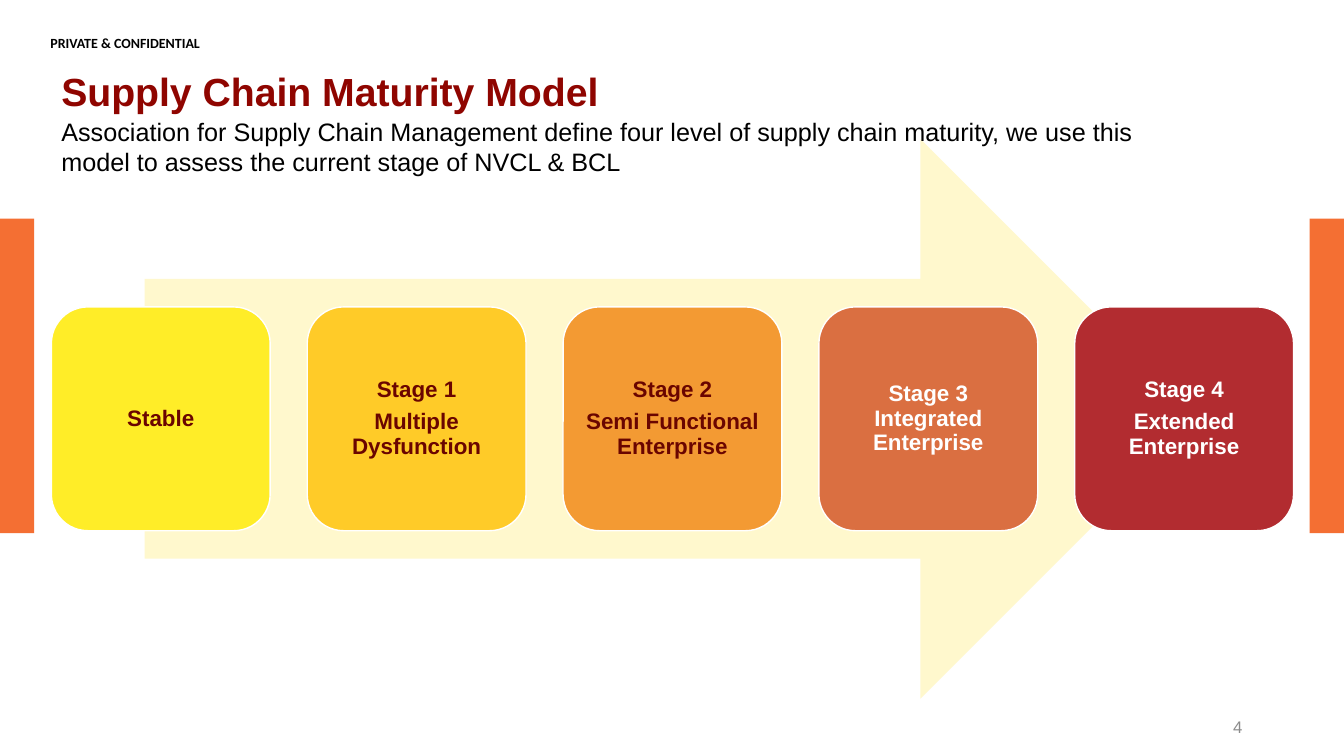
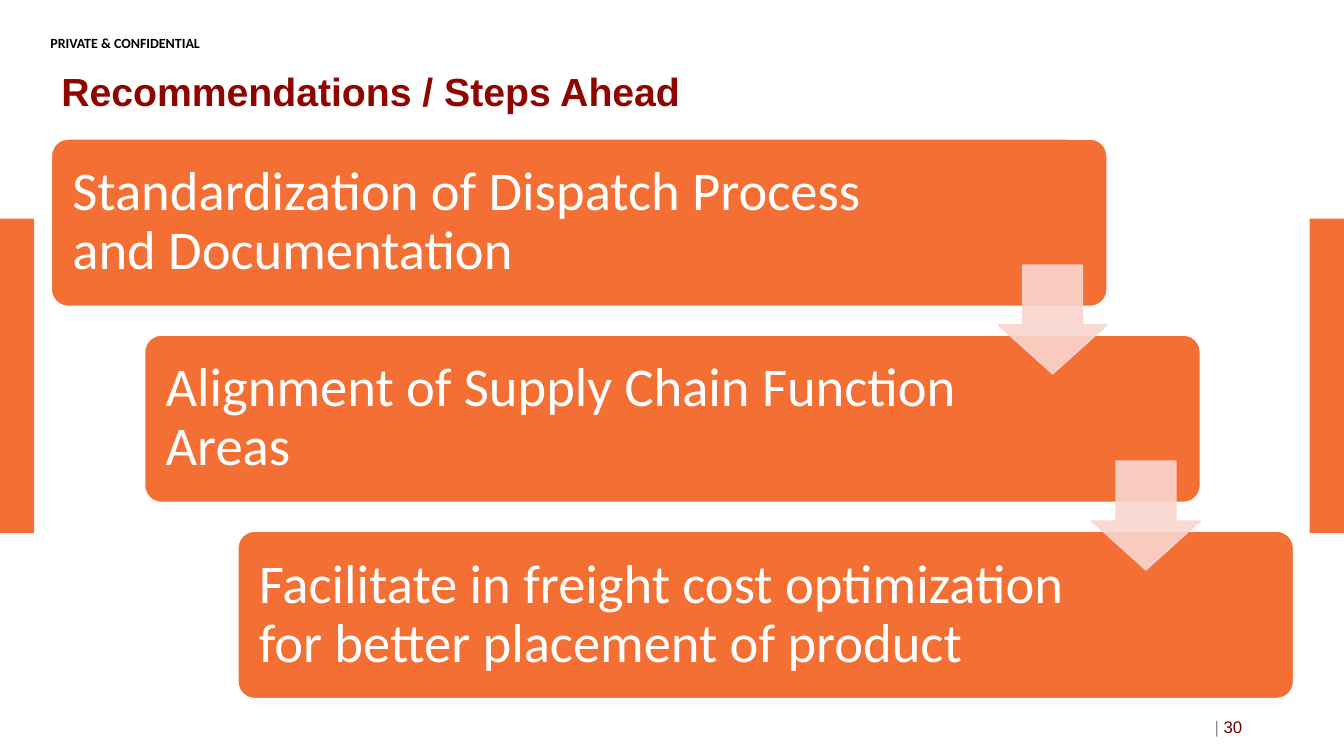
from dataclasses import dataclass

from lxml import etree
from pptx import Presentation
from pptx import util as u
from pptx.dml.color import RGBColor
from pptx.enum import shapes, text
from pptx.oxml.ns import qn

KIND = shapes.MSO_SHAPE
ALIGN = text.PP_ALIGN
ANCHOR = text.MSO_ANCHOR


@dataclass(frozen=True)
class Theme:
    heading_font: str = "Arial"
    body_font: str = "Calibri"
    # Colours
    band: str = "F46F33"
    title: str = "8F0500"
    dark_red: str = "6A0500"
    grey: str = "8C8C8C"
    black: str = "000000"
    white: str = "FFFFFF"
    pale_arrow: str = "FFF8CD"
    step: str = "F36F33"
    step_arrow: str = "FAD5CE"
    # Type sizes
    title_size: int = 28
    subtitle_size: int = 18
    stage_size: int = 16
    step_size: int = 39
    label_size: int = 10
    number_size: int = 12


THEME = Theme()
SLIDE_W, SLIDE_H = 13.33, 7.5
# Area that holds the diagram on each slide
AREA_X, AREA_Y, AREA_W, AREA_H = 0.51, 1.38, 12.32, 5.55

STAGES = [
    (["Stable"], "FFED28", THEME.dark_red),
    (["Stage 1", "Multiple Dysfunction"], "FFCB28", THEME.dark_red),
    (["Stage 2", "Semi Functional Enterprise"], "F39A33", THEME.dark_red),
    (["Stage 3 Integrated Enterprise"], "DA6F41", THEME.white),
    (["Stage 4", "Extended Enterprise"], "B22C30", THEME.white),
]
STEPS = [
    "Standardization of Dispatch Process and Documentation",
    "Alignment of Supply Chain Function Areas",
    "Facilitate in freight cost optimization for better placement of product",
]


def rgb(color):
    return RGBColor.from_string(color)


def style_font(font, size, color, name=THEME.heading_font, bold=False):
    font.name, font.size, font.bold = name, u.Pt(size), bold
    font.color.rgb = rgb(color)


def write(frame, lines, size, color, name=THEME.heading_font, bold=False,
          align=ALIGN.LEFT, anchor=ANCHOR.TOP, insets=(0.1, 0.05, 0.1, 0.05),
          spacing=None, gap=None):
    """Fill a text frame with one paragraph per line."""
    frame.word_wrap = True
    frame.vertical_anchor = anchor
    (frame.margin_left, frame.margin_top,
     frame.margin_right, frame.margin_bottom) = map(u.Inches, insets)
    for index, line in enumerate(lines):
        paragraph = frame.paragraphs[0] if index == 0 else frame.add_paragraph()
        paragraph.text = line
        paragraph.alignment = align
        paragraph.line_spacing = spacing
        if gap and index:
            paragraph.space_before = u.Pt(gap)
        style_font(paragraph.font, size, color, name, bold)


def add_label(slide, box, line, size, color, **style):
    label = slide.shapes.add_textbox(*map(u.Inches, box))
    write(label.text_frame, [line], size, color, **style)
    return label


def add_block(slide, kind, box, fill, outline=None, adjust=()):
    block = slide.shapes.add_shape(kind, *map(u.Inches, box))
    block.shadow.inherit = False
    block.fill.solid()
    block.fill.fore_color.rgb = rgb(fill)
    if outline:
        block.line.color.rgb = rgb(outline)
        block.line.width = u.Pt(1)
    else:
        block.line.fill.background()
    for index, value in enumerate(adjust):
        block.adjustments[index] = value
    return block


def set_opacity(block, percent):
    """Apply one opacity to the fill and the outline."""
    for color in block.element.spPr.iter(qn("a:srgbClr")):
        etree.SubElement(color, qn("a:alpha"), val=str(percent * 1000))


def spread(start, span, size, count):
    """Starts of equally spaced items that fill the span."""
    pitch = (span - size) / (count - 1)
    return [start + index * pitch for index in range(count)]


def add_base(prs, title, number, number_prefix=""):
    """Blank slide with side bands, confidentiality label, title and number."""
    slide = prs.slides.add_slide(prs.slide_layouts[6])
    band_w = 0.34
    for left in (0, SLIDE_W - band_w):
        add_block(slide, KIND.RECTANGLE, (left, 2.17, band_w, 3.12), THEME.band)
    add_label(slide, (0.5, 0.34, 2.53, 0.12), "PRIVATE & CONFIDENTIAL",
              THEME.label_size, THEME.black, name=THEME.body_font, bold=True,
              insets=(0, 0, 0, 0))
    add_label(slide, (AREA_X, 0.58, 10.86, 0.71), title, THEME.title_size,
              THEME.title, bold=True, anchor=ANCHOR.MIDDLE, spacing=0.9)
    page = add_label(slide, (9.42, 7.01, 3, 0.4), number_prefix, THEME.number_size,
                     THEME.grey, align=ALIGN.RIGHT, anchor=ANCHOR.MIDDLE)
    digits = page.text_frame.paragraphs[0].add_run()
    digits.text = number
    if number_prefix:
        digits.font.color.rgb = rgb(THEME.dark_red)
    return slide


def build_maturity_model(prs):
    slide = add_base(prs, "Supply Chain Maturity Model", "4")

    # Background arrow, centred in the area
    arrow_w = 10.47
    add_block(slide, KIND.RIGHT_ARROW,
              (AREA_X + (AREA_W - arrow_w) / 2, AREA_Y, arrow_w, AREA_H),
              THEME.pale_arrow)

    # Stage cards
    card_w, card_h = 2.17, 2.22
    card_y = AREA_Y + (AREA_H - card_h) / 2
    lefts = spread(AREA_X, AREA_W, card_w, len(STAGES))
    for left, (lines, fill, color) in zip(lefts, STAGES):
        card = add_block(slide, KIND.ROUNDED_RECTANGLE,
                         (left, card_y, card_w, card_h), fill, THEME.white)
        write(card.text_frame, lines, THEME.stage_size, color, bold=True,
              align=ALIGN.CENTER, anchor=ANCHOR.MIDDLE, insets=(0.07,) * 4,
              spacing=0.9, gap=5.6)

    # Introduction
    add_label(slide, (AREA_X, 1.1, 11.55, 0.71),
              "Association for Supply Chain Management define four level of supply "
              "chain maturity, we use this model to assess the current stage of "
              "NVCL & BCL", THEME.subtitle_size, THEME.black)


def build_recommendations(prs):
    slide = add_base(prs, "Recommendations / Steps Ahead", "30", "| ")

    # Staggered steps; the wide right inset keeps text clear of the arrows
    step_w, step_h = 10.47, 1.66
    lefts = spread(AREA_X, AREA_W, step_w, len(STEPS))
    tops = spread(AREA_Y, AREA_H, step_h, len(STEPS))
    for left, top, line in zip(lefts, tops, STEPS):
        step = add_block(slide, KIND.ROUNDED_RECTANGLE, (left, top, step_w, step_h),
                         THEME.step, THEME.white, adjust=(0.1,))
        write(step.text_frame, [line], THEME.step_size, THEME.white,
              name=THEME.body_font, anchor=ANCHOR.MIDDLE,
              insets=(0.16, 0.16, 2, 0.16), spacing=0.9)

    # Arrows from each step to the next
    arrow_size = 1.08
    for left, top in zip(lefts[:-1], tops):
        arrow = add_block(slide, KIND.DOWN_ARROW,
                          (left + step_w - arrow_size, top + 1.25,
                           arrow_size, arrow_size),
                          THEME.step_arrow, THEME.step_arrow, adjust=(0.45, 0.55))
        # Head length first, then shaft width
        arrow.adjustments[0], arrow.adjustments[1] = 0.55, 0.45
        set_opacity(arrow, 90)


def main():
    prs = Presentation()
    prs.slide_width, prs.slide_height = u.Inches(SLIDE_W), u.Inches(SLIDE_H)
    build_maturity_model(prs)
    build_recommendations(prs)
    prs.save("out.pptx")


if __name__ == "__main__":
    main()
